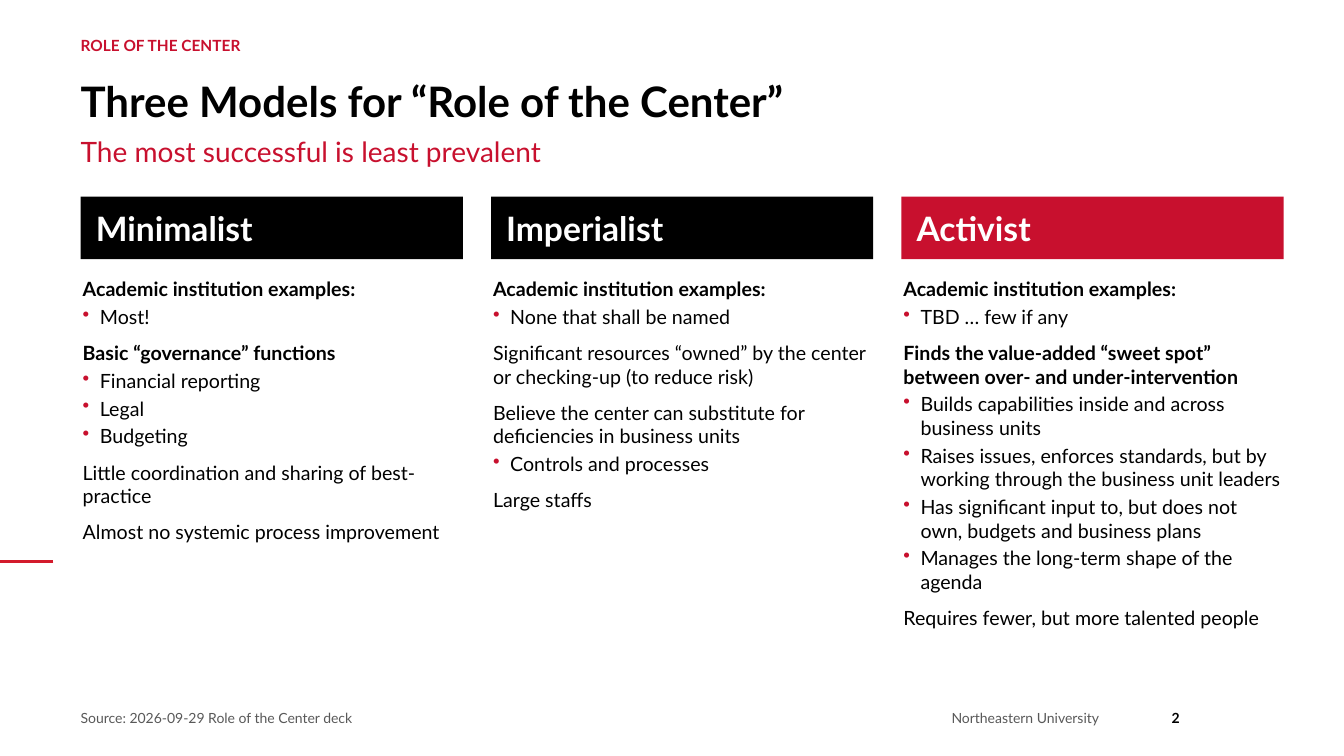
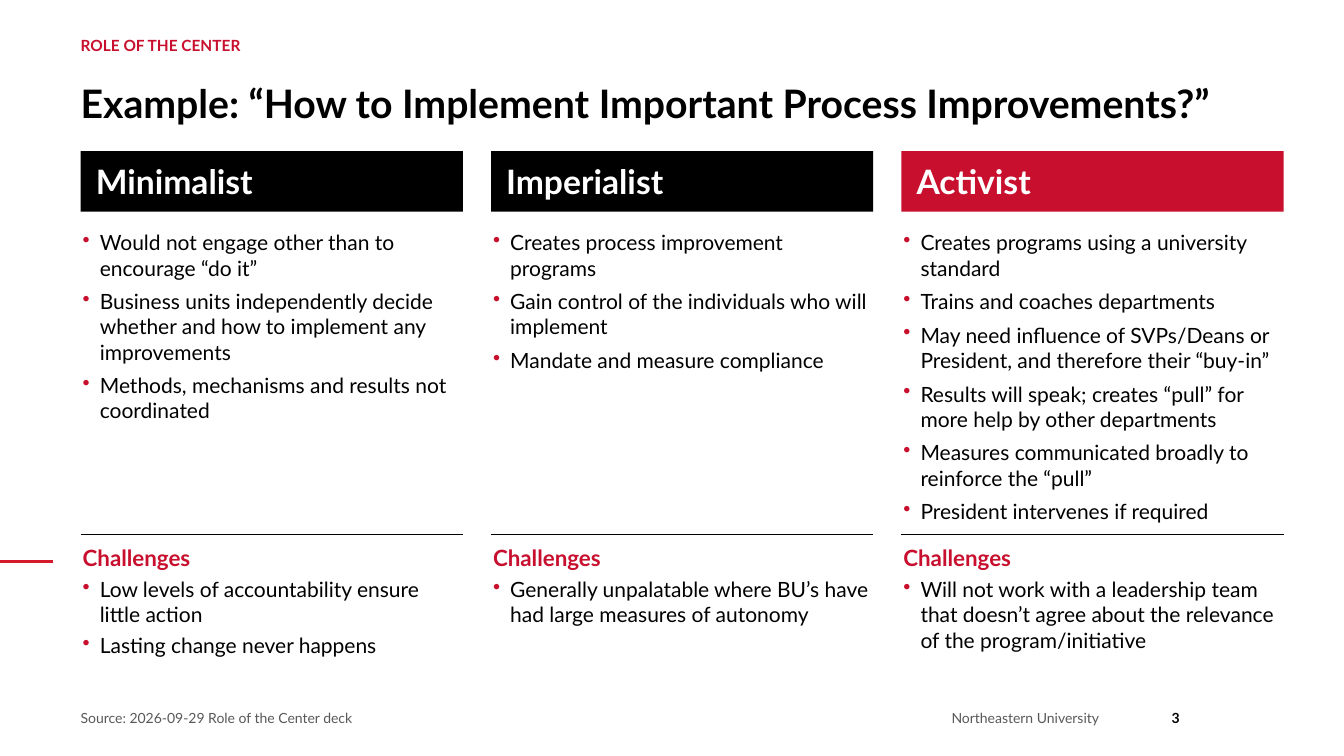
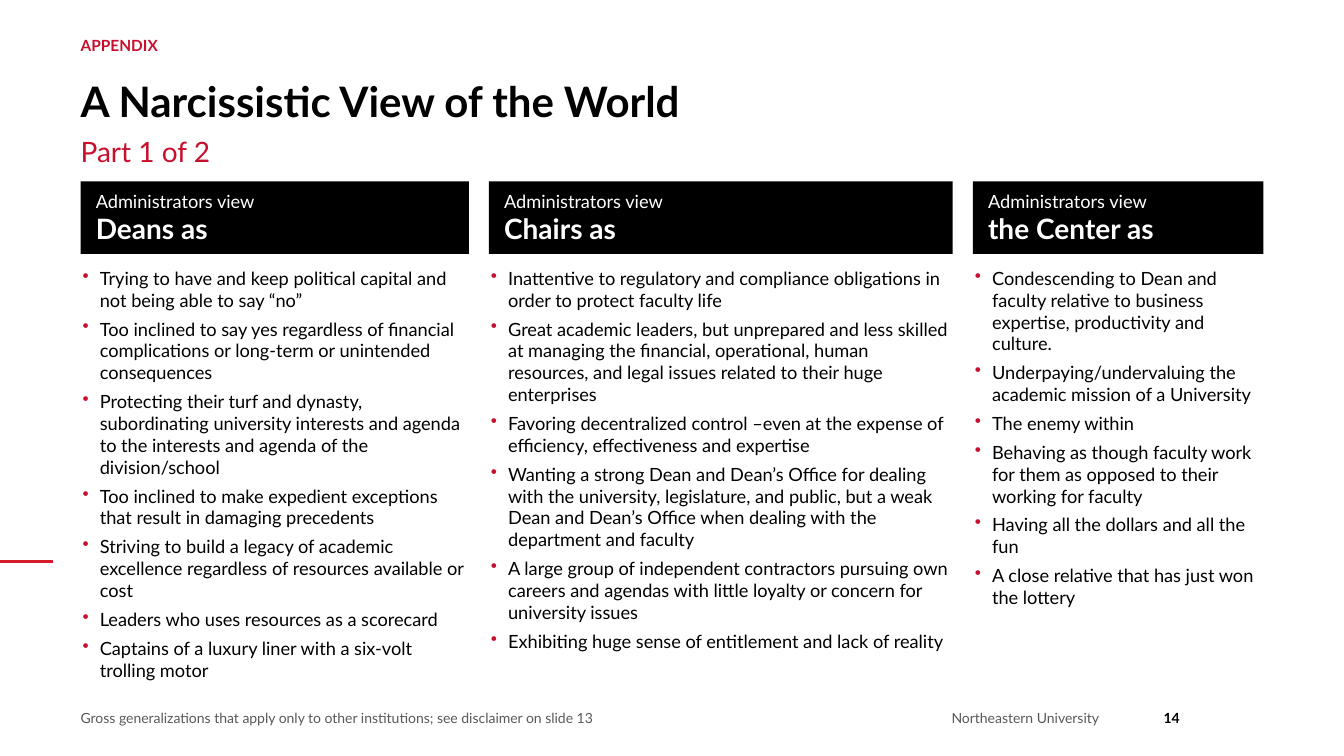
from dataclasses import dataclass
from typing import Iterator

from lxml.etree import SubElement
from pptx import Presentation
from pptx.dml.color import RGBColor
from pptx.enum.shapes import MSO_CONNECTOR as Link, MSO_SHAPE as Shape
from pptx.enum.text import MSO_ANCHOR as Anchor, PP_ALIGN as Align
from pptx.oxml.ns import qn
from pptx.util import Emu, Pt

# Shared style: 100 px to the inch
SCALE = 9144
FONT = "Lato"
RED, BLACK, WHITE, GRAY, RULE = "C8102E", "000000", "FFFFFF", "595959", "D31B2C"
LEFT, WIDE = 80, 1193
INSET, HANG = 2, 17
THIRDS, GAP = [379] * 3, 28


@dataclass
class Box:
    x: int
    y: int
    w: int
    h: int


@dataclass
class Para:
    text: str
    size: int
    color: str = BLACK
    bold: bool = False
    bullet: bool = False
    gap: int = 0
    align: Align = Align.LEFT
    lead: float = 1.0


@dataclass
class Page:
    kicker: str
    title: str
    size: int
    sub: str
    source: str
    number: str


@dataclass
class Column:
    name: str
    color: str
    paras: list[Para]


@dataclass
class Case:
    name: str
    color: str
    acts: list[str]
    risks: list[str]


def px(n: int) -> Emu:
    return Emu(n * SCALE)


def paint(code: str) -> RGBColor:
    return RGBColor.from_string(code)


# Drawing tools
def mark(para) -> None:
    props = para._p.get_or_add_pPr()
    props.set("marL", str(px(HANG)))
    props.set("indent", str(-px(HANG)))
    tint = SubElement(props, qn("a:buClr"))
    SubElement(tint, qn("a:srgbClr")).set("val", RED)
    SubElement(props, qn("a:buChar")).set("char", "•")


def write(frame, paras: list[Para], anchor: Anchor, side: int = 0, end: int = 0) -> None:
    frame.word_wrap = True
    frame.vertical_anchor = anchor
    frame.margin_left = frame.margin_right = px(side)
    frame.margin_top = frame.margin_bottom = px(end)
    for i, part in enumerate(paras):
        para = frame.add_paragraph() if i else frame.paragraphs[0]
        if part.bullet:
            mark(para)
        para.alignment = part.align
        para.line_spacing = part.lead
        para.space_before = Pt(part.gap if i else 0)
        run = para.add_run()
        run.text = part.text
        run.font.name = FONT
        run.font.size = Pt(part.size)
        run.font.bold = part.bold
        run.font.color.rgb = paint(part.color)


def text(slide, box: Box, paras: list[Para], anchor: Anchor = Anchor.TOP) -> None:
    item = slide.shapes.add_textbox(px(box.x), px(box.y), px(box.w), px(box.h))
    write(item.text_frame, paras, anchor)


def band(slide, box: Box, color: str, paras: list[Para]) -> None:
    item = slide.shapes.add_shape(
        Shape.RECTANGLE, px(box.x), px(box.y), px(box.w), px(box.h))
    item.shadow.inherit = False
    item.fill.solid()
    item.fill.fore_color.rgb = paint(color)
    item.line.fill.background()
    write(item.text_frame, paras, Anchor.MIDDLE, 15, 5)


def line(slide, start: int, end: int, y: int, color: str, width: int) -> None:
    item = slide.shapes.add_connector(
        Link.STRAIGHT, px(start), px(y), px(end), px(y))
    item.line.color.rgb = paint(color)
    item.line.width = Pt(width)
    SubElement(item._element.spPr, qn("a:effectLst"))


def inner(x: int, y: int, w: int, h: int) -> Box:
    return Box(x + INSET, y, w - 2 * INSET, h)


def spread(widths: list[int], gap: int) -> Iterator[tuple[int, int]]:
    x = LEFT
    for w in widths:
        yield x, w
        x += w + gap


# Frame of every slide
def start(deck, page: Page):
    slide = deck.slides.add_slide(deck.slide_layouts[6])
    line(slide, 53, 0, 557, RULE, 2)
    right = Align.RIGHT
    mid = Anchor.MIDDLE
    text(slide, Box(LEFT, 58, WIDE, 68),
         [Para(page.title, page.size, bold=True, lead=0.9)], Anchor.BOTTOM)
    text(slide, Box(LEFT, 32, 800, 25), [Para(page.kicker, 11, RED, True)], mid)
    if page.sub:
        text(slide, Box(LEFT, 130, WIDE, 40), [Para(page.sub, 20, RED)], mid)
    text(slide, Box(LEFT, 700, 650, 24), [Para(page.source, 10, GRAY)], mid)
    text(slide, Box(730, 700, 360, 24),
         [Para("Northeastern University", 10, GRAY, align=right)], mid)
    text(slide, Box(1115, 700, 55, 24),
         [Para(page.number, 10, bold=True, align=right)], mid)
    return slide


# Kinds of paragraph
def head(words: str) -> Para:
    return Para(words, 14, bold=True, gap=9)


def plain(words: str) -> Para:
    return Para(words, 14, gap=9)


def dots(words: list[str], size: int, gap: int) -> list[Para]:
    return [Para(word, size, bullet=True, gap=gap) for word in words]


def points(*words: str) -> list[Para]:
    return dots(list(words), 14, 3)


def label(name: str) -> list[Para]:
    return [Para(name, 24, WHITE, True)]


# Slide contents
ROLE = "ROLE OF THE CENTER"
SOURCE = "Source: 2026-09-29 Role of the Center deck"
SAMPLES = head("Academic institution examples:")

MODELS = [
    Column("Minimalist", BLACK, [
        SAMPLES,
        *points("Most!"),
        head("Basic “governance” functions"),
        *points("Financial reporting", "Legal", "Budgeting"),
        plain("Little coordination and sharing of best-practice"),
        plain("Almost no systemic process improvement"),
    ]),
    Column("Imperialist", BLACK, [
        SAMPLES,
        *points("None that shall be named"),
        plain("Significant resources “owned” by the center or checking-up (to reduce risk)"),
        plain("Believe the center can substitute for deficiencies in business units"),
        *points("Controls and processes"),
        plain("Large staffs"),
    ]),
    Column("Activist", RED, [
        SAMPLES,
        *points("TBD … few if any"),
        head("Finds the value-added “sweet spot” between over- and under-intervention"),
        *points(
            "Builds capabilities inside and across business units",
            "Raises issues, enforces standards, but by working through the business unit leaders",
            "Has significant input to, but does not own, budgets and business plans",
            "Manages the long-term shape of the agenda"),
        plain("Requires fewer, but more talented people"),
    ]),
]

CASES = [
    Case("Minimalist", BLACK, [
        "Would not engage other than to encourage “do it”",
        "Business units independently decide whether and how to implement any improvements",
        "Methods, mechanisms and results not coordinated",
    ], [
        "Low levels of accountability ensure little action",
        "Lasting change never happens",
    ]),
    Case("Imperialist", BLACK, [
        "Creates process improvement programs",
        "Gain control of the individuals who will implement",
        "Mandate and measure compliance",
    ], [
        "Generally unpalatable where BU’s have had large measures of autonomy",
    ]),
    Case("Activist", RED, [
        "Creates programs using a university standard",
        "Trains and coaches departments",
        "May need influence of SVPs/Deans or President, and therefore their “buy-in”",
        "Results will speak; creates “pull” for more help by other departments",
        "Measures communicated broadly to reinforce the “pull”",
        "President intervenes if required",
    ], [
        "Will not work with a leadership team that doesn’t agree about the relevance "
        "of the program/initiative",
    ]),
]

VIEWS = {
    "Deans as": [
        "Trying to have and keep political capital and not being able to say “no”",
        "Too inclined to say yes regardless of financial complications or long-term "
        "or unintended consequences",
        "Protecting their turf and dynasty, subordinating university interests and agenda "
        "to the interests and agenda of the division/school",
        "Too inclined to make expedient exceptions that result in damaging precedents",
        "Striving to build a legacy of academic excellence regardless of resources "
        "available or cost",
        "Leaders who uses resources as a scorecard",
        "Captains of a luxury liner with a six-volt trolling motor",
    ],
    "Chairs as": [
        "Inattentive to regulatory and compliance obligations in order to protect faculty life",
        "Great academic leaders, but unprepared and less skilled at managing the financial, "
        "operational, human resources, and legal issues related to their huge enterprises",
        "Favoring decentralized control –even at the expense of efficiency, effectiveness "
        "and expertise",
        "Wanting a strong Dean and Dean’s Office for dealing with the university, legislature, "
        "and public, but a weak Dean and Dean’s Office when dealing with the department "
        "and faculty",
        "A large group of independent contractors pursuing own careers and agendas with "
        "little loyalty or concern for university issues",
        "Exhibiting huge sense of entitlement and lack of reality",
    ],
    "the Center as": [
        "Condescending to Dean and faculty relative to business expertise, productivity "
        "and culture.",
        "Underpaying/undervaluing the academic mission of a University",
        "The enemy within",
        "Behaving as though faculty work for them as opposed to their working for faculty",
        "Having all the dollars and all the fun",
        "A close relative that has just won the lottery",
    ],
}


# Slides
def models(deck) -> None:
    slide = start(deck, Page(ROLE, "Three Models for “Role of the Center”", 30,
                             "The most successful is least prevalent", SOURCE, "2"))
    for (x, w), col in zip(spread(THIRDS, GAP), MODELS):
        band(slide, Box(x, 195, w, 62), col.color, label(col.name))
        text(slide, inner(x, 275, w, 415), col.paras)


def cases(deck) -> None:
    slide = start(deck, Page(
        ROLE, "Example: “How to Implement Important Process Improvements?”", 28,
        "", SOURCE, "3"))
    for (x, w), case in zip(spread(THIRDS, GAP), CASES):
        band(slide, Box(x, 150, w, 60), case.color, label(case.name))
        text(slide, inner(x, 228, w, 295), dots(case.acts, 15, 6))
        line(slide, x, x + w, 530, BLACK, 1)
        text(slide, inner(x, 540, w, 150),
             [Para("Challenges", 16, RED, True), *dots(case.risks, 15, 4)])


def views(deck) -> None:
    slide = start(deck, Page(
        "APPENDIX", "A Narcissistic View of the World", 30, "Part 1 of 2",
        "Gross generalizations that apply only to other institutions; "
        "see disclaimer on slide 13", "14"))
    for (x, w), (name, traits) in zip(spread([385, 460, 288], 20), VIEWS.items()):
        band(slide, Box(x, 180, w, 72), BLACK,
             [Para("Administrators view", 13, WHITE), Para(name, 20, WHITE, True)])
        text(slide, inner(x, 265, w, 430), dots(traits, 13, 5))


def main() -> None:
    deck = Presentation()
    deck.slide_width, deck.slide_height = px(1333), px(750)
    for draw in (models, cases, views):
        draw(deck)
    deck.save("out.pptx")


if __name__ == "__main__":
    main()
